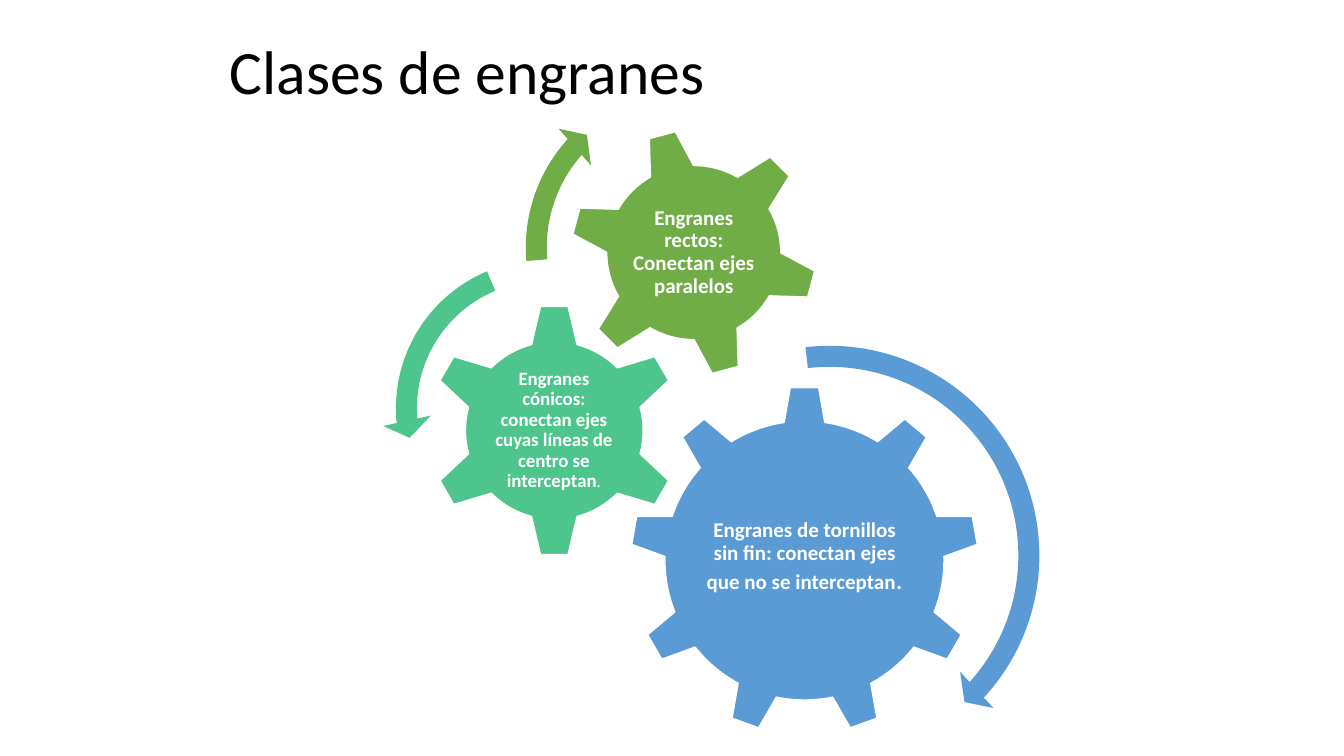
import pptx
import pptx.util
import pptx.dml.color
import pptx.enum.shapes
import pptx.enum.text

Cm, Pt = pptx.util.Cm, pptx.util.Pt
RGBColor = pptx.dml.color.RGBColor
MSO_SHAPE = pptx.enum.shapes.MSO_SHAPE
PP_ALIGN = pptx.enum.text.PP_ALIGN

BLACK = RGBColor(0x00, 0x00, 0x00)
WHITE = RGBColor(0xFF, 0xFF, 0xFF)
BLUE = RGBColor(0x5B, 0x9B, 0xD5)
TEAL = RGBColor(0x4D, 0xC5, 0x8D)
GREEN = RGBColor(0x70, 0xAD, 0x47)

prs = pptx.Presentation()
prs.slide_width, prs.slide_height = Cm(33.87), Cm(19.05)
slide = prs.slides.add_slide(prs.slide_layouts[6])


def add_text(box, runs, color, align, inset=None):
    """Add a one-paragraph text box; runs are (text, size, bold)."""
    tf = slide.shapes.add_textbox(*[Cm(v) for v in box]).text_frame
    tf.word_wrap = True
    tf.vertical_anchor = pptx.enum.text.MSO_ANCHOR.MIDDLE
    if inset is not None:
        tf.margin_left = tf.margin_right = Cm(inset)
        tf.margin_top = tf.margin_bottom = Cm(inset)
    p = tf.paragraphs[0]
    p.alignment = align
    p.line_spacing = 0.9
    for text, size, bold in runs:
        r = p.add_run()
        r.text = text
        r.font.name = "Calibri"
        r.font.size = Pt(size)
        r.font.bold = bold
        r.font.color.rgb = color


def add_square_shape(kind, left, top, side, color):
    s = slide.shapes.add_shape(kind, Cm(left), Cm(top), Cm(side), Cm(side))
    s.shadow.inherit = False
    s.fill.solid()
    s.fill.fore_color.rgb = color
    return s


add_text((5.54, 0.53, 22.86, 2.72), [("Clases de engranes", 44, False)],
         BLACK, PP_ALIGN.LEFT)

# kind, left, top, side, rotation, colour, text box, runs
gears = [
    (MSO_SHAPE.GEAR_9, 15.88, 9.73, 8.79, 0, BLUE, (17.65, 11.79, 5.26, 4.52),
     [("Engranes de tornillos sin fin: conectan ejes que no se interceptan", 15, True),
      (".", 20, False)]),
    (MSO_SHAPE.GEAR_6, 10.77, 7.65, 6.4, 0, TEAL, (12.37, 9.27, 3.18, 3.15),
     [("Engranes cónicos: conectan ejes cuyas líneas de centro se interceptan", 13.5, True),
      (".", 12, False)]),
    (MSO_SHAPE.GEAR_6, 14.35, 3.23, 6.27, 345, GREEN, (15.72, 4.6, 3.53, 3.53),
     [("Engranes rectos: Conectan ejes paralelos", 15, True)]),
]
for kind, left, top, side, rotation, color, box, runs in gears:
    s = add_square_shape(kind, left, top, side, color)
    s.rotation = rotation
    s.line.color.rgb = WHITE
    s.line.width = Pt(1)
    add_text(box, runs, WHITE, PP_ALIGN.CENTER, inset=0.05)

# kind, left, top, side, colour, adjustments
turn_arrows = [
    (MSO_SHAPE.CIRCULAR_ARROW, 15.27, 8.36, 11.28, BLUE,
     (0.047, 2.99, 25.44, 158.02, 0.055)),
    (MSO_SHAPE.LEFT_CIRCULAR_ARROW, 9.63, 6.2, 8.18, TEAL,
     (0.065, 4.3, 104.89, 148.38, 0.075)),
    (MSO_SHAPE.CIRCULAR_ARROW, 12.9, 1.83, 8.81, GREEN,
     (0.06, 3.94, 133.14, 105.08, 0.07)),
]
for kind, left, top, side, color, adjustments in turn_arrows:
    s = add_square_shape(kind, left, top, side, color)
    s.line.fill.background()
    for i, value in enumerate(adjustments):
        s.adjustments[i] = value

prs.save("out.pptx")
